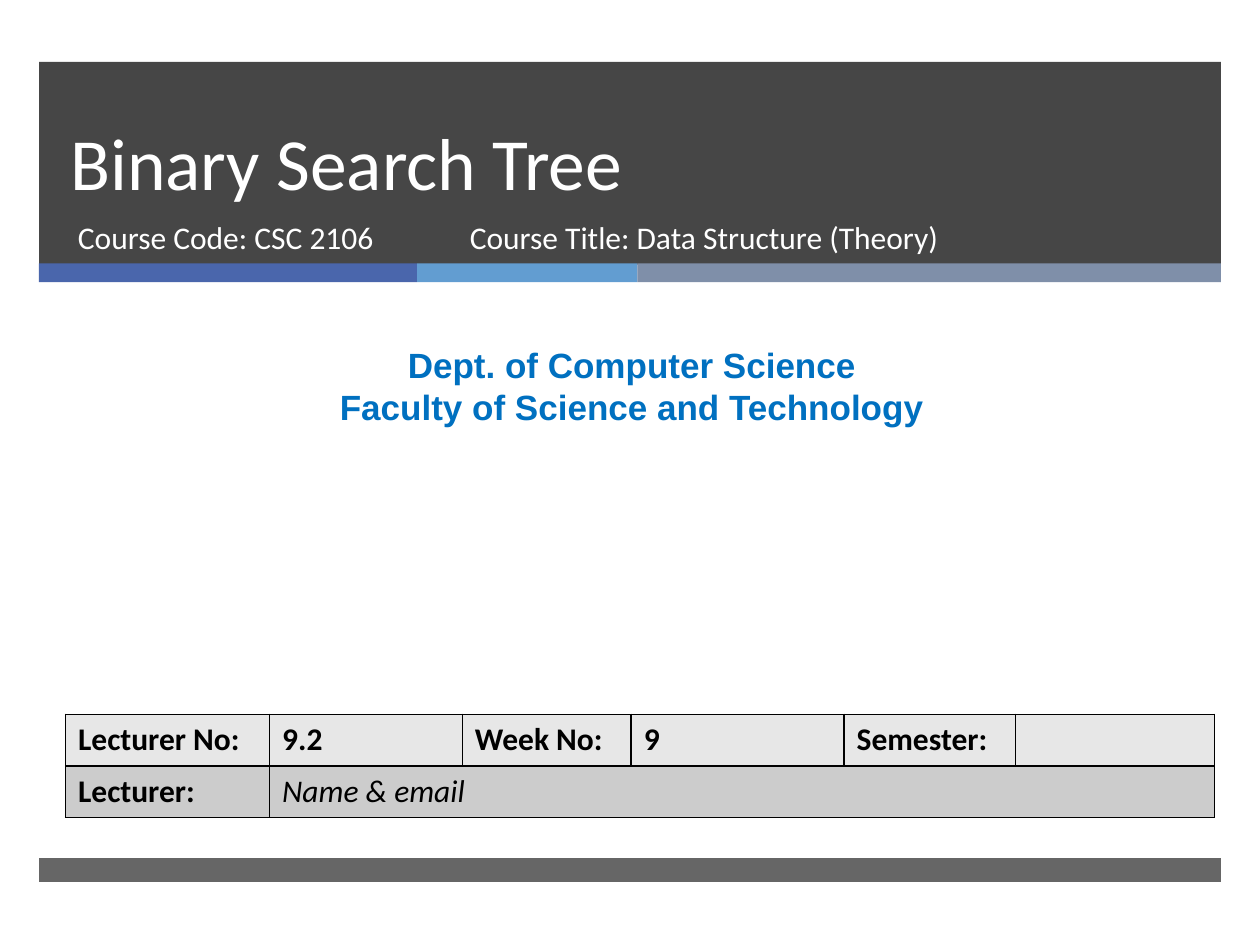
"""Build the opening slide of the Binary Search Tree lecture."""
from dataclasses import dataclass, field
from typing import Any

import lxml.etree
import pptx
import pptx.dml.color
import pptx.enum.shapes
import pptx.enum.text
import pptx.oxml.ns
import pptx.util

Inches = pptx.util.Inches
Pt = pptx.util.Pt
ANCHOR = pptx.enum.text.MSO_ANCHOR
ALIGN = pptx.enum.text.PP_ALIGN
qn = pptx.oxml.ns.qn

WHITE_BODY = {"name": "Calibri", "size": Pt(18), "color": "FFFFFF"}
CELL_BOLD = {"name": "Calibri", "size": Pt(18), "color": "000000", "bold": True}
CELL_ITALIC = CELL_BOLD | {"bold": False, "italic": True}


@dataclass
class Band:
    left: float
    top: float
    width: float
    height: float
    color: str
    opacity: int = 100


@dataclass
class Label:
    left: float
    top: float
    width: float
    height: float
    lines: list[str]
    font: dict[str, Any]
    paragraph: dict[str, Any] = field(default_factory=dict)
    anchor: Any = ANCHOR.TOP


BANDS = [
    Band(0.31, 0.49, 9.38, 1.61, "262626", 85),
    Band(0.31, 2.09, 3, 0.15, "4A66AC"),
    Band(3.31, 2.09, 1.75, 0.15, "629DD1"),
    Band(5.06, 2.09, 4.63, 0.15, "7F8FA9"),
    Band(0.31, 6.81, 9.38, 0.19, "262626", 70),
]
LABELS = [
    Label(0.46, 0.49, 8.54, 1.19, ["Binary Search Tree"],
          WHITE_BODY | {"size": Pt(42)}, {"line_spacing": Pt(46)}, ANCHOR.BOTTOM),
    Label(0.52, 1.68, 3.05, 0.53, ["Course Code: CSC 2106"], WHITE_BODY),
    Label(0.08, 2.68, 9.87, 0.77,
          ["Dept. of Computer Science", "Faculty of Science and Technology"],
          {"name": "Arial", "size": Pt(20), "color": "0070C0", "bold": True},
          {"alignment": ALIGN.CENTER}),
    Label(3.63, 1.68, 4.55, 0.53, ["Course Title: Data Structure (Theory)"], WHITE_BODY),
]
COLUMN_WIDTHS = [1.62, 1.53, 1.34, 1.69, 1.36, 1.58]
ROW_HEIGHT = 0.41
ROW_FILLS = ["E7E7E7", "CCCCCC"]
LECTURE_ROWS = [
    ["Lecturer No:", "9.2", "Week No:", "9", "Semester:", ""],
    ["Lecturer:", "Name & email", "", "", "", ""],
]


def paint(color_format: Any, color: str) -> None:
    color_format.rgb = pptx.dml.color.RGBColor.from_string(color)


def fill_solid(fill: Any, color: str) -> None:
    fill.solid()
    paint(fill.fore_color, color)


def write(paragraph: Any, text: str, font: dict[str, Any]) -> None:
    run = paragraph.add_run()
    run.text = text
    for key, value in font.items():
        if key == "color":
            paint(run.font.color, value)
        else:
            setattr(run.font, key, value)


def draw_band(slide: Any, band: Band) -> None:
    bar = slide.shapes.add_shape(
        pptx.enum.shapes.MSO_SHAPE.RECTANGLE,
        Inches(band.left), Inches(band.top), Inches(band.width), Inches(band.height))
    bar.shadow.inherit = False
    bar.line.fill.background()
    fill_solid(bar.fill, band.color)
    if band.opacity < 100:
        tint = bar.fill._xPr.find(".//" + qn("a:srgbClr"))
        lxml.etree.SubElement(tint, qn("a:alpha"), val=str(band.opacity * 1000))


def draw_label(slide: Any, label: Label) -> None:
    frame = slide.shapes.add_textbox(
        Inches(label.left), Inches(label.top),
        Inches(label.width), Inches(label.height)).text_frame
    frame.word_wrap = True
    frame.vertical_anchor = label.anchor
    for index, line in enumerate(label.lines):
        paragraph = frame.add_paragraph() if index else frame.paragraphs[0]
        for key, value in label.paragraph.items():
            setattr(paragraph, key, value)
        write(paragraph, line, label.font)


def outline_cell(cell: Any, color: str) -> None:
    properties = cell._tc.get_or_add_tcPr()
    for side in ("lnL", "lnR", "lnT", "lnB"):
        edge = lxml.etree.SubElement(properties, qn(f"a:{side}"), w=str(Pt(1)))
        solid = lxml.etree.SubElement(edge, qn("a:solidFill"))
        lxml.etree.SubElement(solid, qn("a:srgbClr"), val=color)


def draw_lecture_table(slide: Any) -> None:
    table = slide.shapes.add_table(
        len(LECTURE_ROWS), len(COLUMN_WIDTHS), Inches(0.52), Inches(5.67),
        Inches(sum(COLUMN_WIDTHS)), Inches(ROW_HEIGHT * len(LECTURE_ROWS))).table
    for column, width in zip(table.columns, COLUMN_WIDTHS):
        column.width = Inches(width)
    for row, texts, color in zip(table.rows, LECTURE_ROWS, ROW_FILLS):
        row.height = Inches(ROW_HEIGHT)
        for cell, text in zip(row.cells, texts):
            outline_cell(cell, "000000")
            fill_solid(cell.fill, color)
            if text:
                font = CELL_ITALIC if text == "Name & email" else CELL_BOLD
                write(cell.text_frame.paragraphs[0], text, font)
    table.cell(1, 1).merge(table.cell(1, len(COLUMN_WIDTHS) - 1))


def main() -> None:
    deck = pptx.Presentation()
    deck.slide_width, deck.slide_height = Inches(10), Inches(7.5)
    slide = deck.slides.add_slide(deck.slide_layouts[6])
    fill_solid(slide.background.fill, "FFFFFF")
    for band in BANDS:
        draw_band(slide, band)
    for label in LABELS:
        draw_label(slide, label)
    draw_lecture_table(slide)
    deck.save("out.pptx")


if __name__ == "__main__":
    main()
